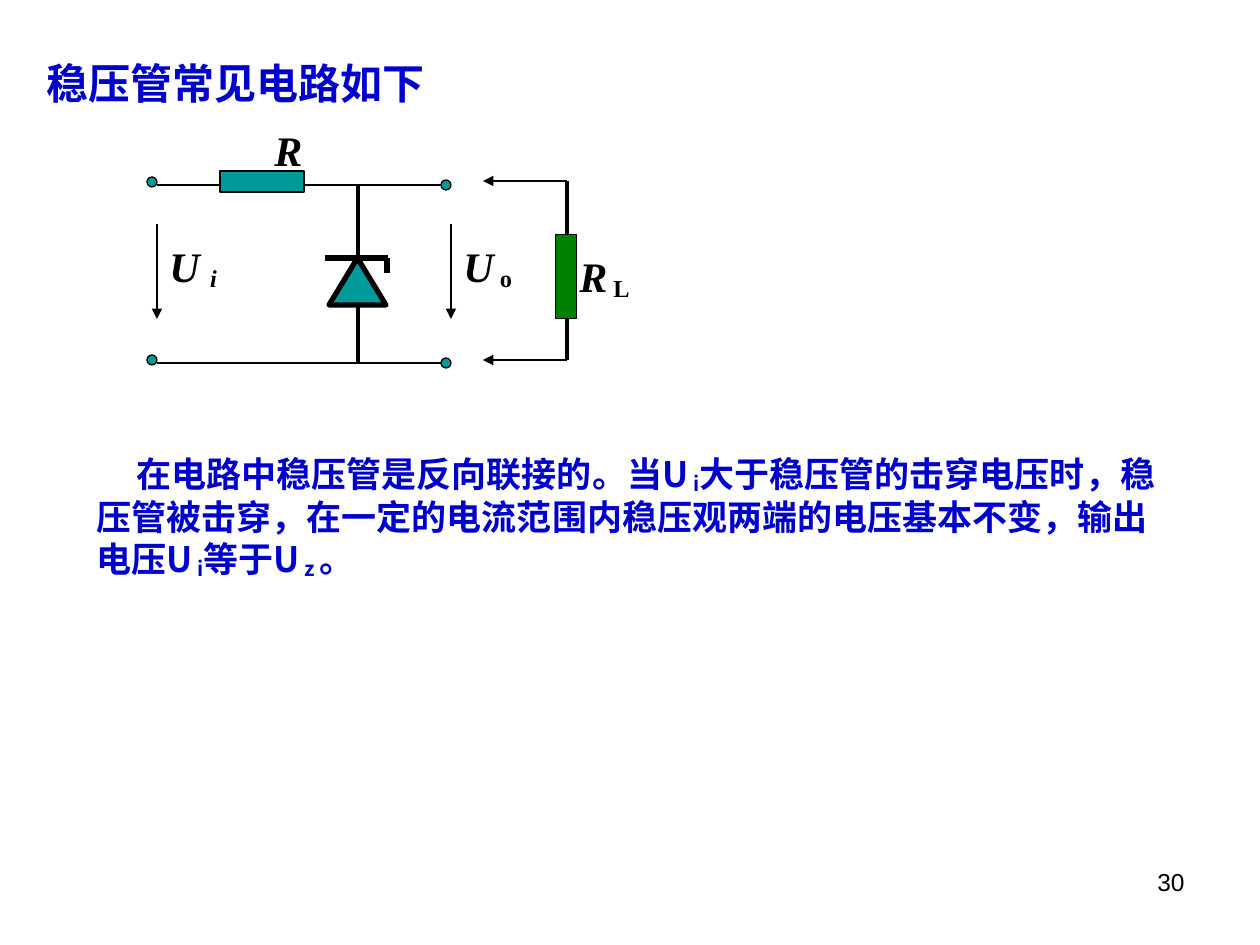
from dataclasses import dataclass

import pptx
import pptx.dml.color
import pptx.enum.shapes
import pptx.enum.text
import pptx.oxml.ns
import pptx.presentation
import pptx.shapes.shapetree
import pptx.util
from lxml import etree

EMU_PER_PX = 914400 / 126
PRESET = pptx.enum.shapes.MSO_SHAPE
ALIGN = pptx.enum.text.PP_ALIGN
Color = pptx.dml.color.RGBColor
Shapes = pptx.shapes.shapetree.SlideShapes


@dataclass(frozen=True)
class Theme:
    ink: Color = Color(0, 0, 0)
    prose: Color = Color(0x00, 0x00, 0xCC)
    component: Color = Color(0x00, 0x99, 0x99)
    load: Color = Color(0x00, 0x80, 0x00)
    sans: str = "Arial"
    cjk: str = "Noto Sans CJK SC"
    serif: str = "Times New Roman"
    heading_size: int = 24
    body_size: int = 20
    number_size: int = 14
    thin: float = 0.75
    medium: float = 2.25
    thick: float = 3


THEME = Theme()


@dataclass(frozen=True)
class Wire:
    x1: int
    y1: int
    x2: int
    y2: int
    weight: float = THEME.thin
    arrow: bool = False


@dataclass(frozen=True)
class Part:
    preset: PRESET
    x: int
    y: int
    w: int
    h: int
    fill: Color = THEME.component
    weight: float = THEME.thin
    rotation: int = 0


@dataclass(frozen=True)
class Piece:
    text: str
    subscript: bool = False
    italic: bool = False


@dataclass(frozen=True)
class Label:
    x: int
    y: int
    w: int
    h: int
    pieces: tuple[Piece, ...]
    font: str = THEME.serif
    size: int = THEME.heading_size
    color: Color = THEME.ink
    bold: bool = True
    align: ALIGN = ALIGN.LEFT
    line_spacing: float = 1.0
    first_indent: int = 0


def px(length: int) -> pptx.util.Emu:
    return pptx.util.Emu(round(length * EMU_PER_PX))


def draw_wire(shapes: Shapes, wire: Wire) -> None:
    connector = shapes.add_connector(
        pptx.enum.shapes.MSO_CONNECTOR.STRAIGHT,
        px(wire.x1), px(wire.y1), px(wire.x2), px(wire.y2))
    connector.line.color.rgb = THEME.ink
    connector.line.width = pptx.util.Pt(wire.weight)
    if wire.arrow:
        etree.SubElement(connector.line._get_or_add_ln(),
                         pptx.oxml.ns.qn("a:tailEnd"), type="triangle")
    etree.SubElement(connector._element.spPr, pptx.oxml.ns.qn("a:effectLst"))


def draw_part(shapes: Shapes, part: Part) -> None:
    body = shapes.add_shape(part.preset, px(part.x), px(part.y), px(part.w), px(part.h))
    body.shadow.inherit = False
    body.rotation = part.rotation
    body.fill.solid()
    body.fill.fore_color.rgb = part.fill
    body.line.color.rgb = THEME.ink
    body.line.width = pptx.util.Pt(part.weight)


def draw_label(shapes: Shapes, label: Label) -> None:
    frame = shapes.add_textbox(px(label.x), px(label.y), px(label.w), px(label.h)).text_frame
    frame.word_wrap = True
    paragraph = frame.paragraphs[0]
    paragraph.alignment = label.align
    paragraph.line_spacing = label.line_spacing
    if label.first_indent:
        paragraph._p.get_or_add_pPr().set("indent", str(px(label.first_indent)))
    for piece in label.pieces:
        run = paragraph.add_run()
        run.text = piece.text
        run.font.name = label.font
        run.font.size = pptx.util.Pt(label.size)
        run.font.bold = label.bold
        run.font.italic = piece.italic
        run.font.color.rgb = label.color
        properties = run._r.get_or_add_rPr()
        etree.SubElement(properties, pptx.oxml.ns.qn("a:ea"), typeface=THEME.cjk)
        if piece.subscript:
            properties.set("baseline", "-12000")


WIRES = (
    *(Wire(157, y, 441, y) for y in (185, 363)),
    Wire(358, 363, 358, 185, THEME.medium),
    Wire(325, 258, 388, 258, THEME.thick),
    Wire(387, 258, 387, 273, THEME.thick),
    *(Wire(x, 224, x, 319, arrow=True) for x in (157, 451)),
    *(Wire(567, y, 483, y, arrow=True) for y in (181, 360)),
    Wire(567, 360, 567, 181, THEME.medium),
)

PARTS = (
    *(Part(PRESET.OVAL, x, y, 10, 10)
      for x, top in ((147, 177), (441, 180)) for y in (top, top + 178)),
    Part(PRESET.RECTANGLE, 220, 171, 84, 21),
    Part(PRESET.ISOSCELES_TRIANGLE, 329, 258, 57, 47, weight=THEME.thick),
    Part(PRESET.RECTANGLE, 524, 266, 84, 21, fill=THEME.load, rotation=270),
)

LABELS = (
    Label(34, 57, 1055, 78, (Piece("稳压管常见电路如下"),),
          font=THEME.sans, color=THEME.prose, line_spacing=0.9),
    Label(157, 234, 84, 64, (Piece("U ", italic=True), Piece("i", True, True))),
    Label(262, 118, 63, 63, (Piece("R", italic=True),)),
    Label(451, 234, 84, 64, (Piece("U", italic=True), Piece(" o", True))),
    Label(567, 244, 84, 64, (Piece("R", italic=True), Piece(" L", True))),
    Label(84, 446, 1111, 141, (
        Piece("在电路中稳压管是反向联接的。当U"),
        Piece(" i", True),
        Piece("大于稳压管的击穿电压时，稳压管被击穿，"
              "在一定的电流范围内稳压观两端的电压基本不变，输出电压U"),
        Piece(" i", True),
        Piece("等于U"),
        Piece(" z ", True),
        Piece("。"),
    ), font=THEME.cjk, size=THEME.body_size, color=THEME.prose, first_indent=40),
    Label(903, 861, 294, 66, (Piece("30"),), font=THEME.sans,
          size=THEME.number_size, bold=False, align=ALIGN.RIGHT),
)


def main() -> None:
    deck = pptx.Presentation()
    deck.slide_width, deck.slide_height = px(1260), px(945)
    shapes = deck.slides.add_slide(deck.slide_layouts[6]).shapes
    for wire in WIRES:
        draw_wire(shapes, wire)
    for part in PARTS:
        draw_part(shapes, part)
    for label in LABELS:
        draw_label(shapes, label)
    deck.save("out.pptx")


if __name__ == "__main__":
    main()
